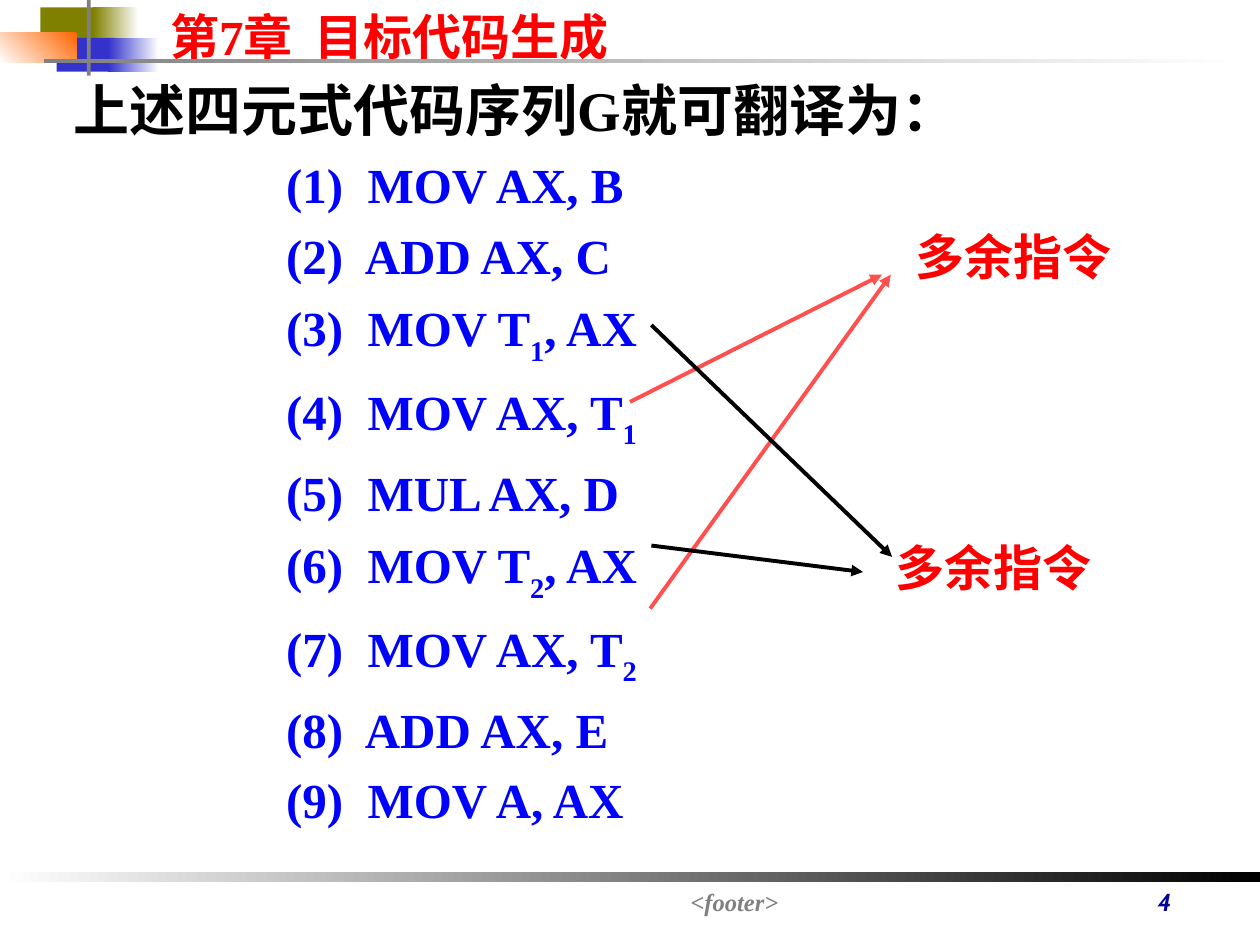
from pptx import Presentation
from pptx.dml.color import RGBColor
from pptx.enum.shapes import MSO_CONNECTOR as Connector, MSO_SHAPE as Preset
from pptx.enum.text import MSO_ANCHOR as Anchor, MSO_AUTO_SIZE as AutoSize, PP_ALIGN as Align
from pptx.oxml.xmlchemy import OxmlElement
from pptx.util import Inches, Pt

RED = RGBColor(0xFF, 0x00, 0x00)
CORAL = RGBColor(0xFF, 0x50, 0x50)
BLUE = RGBColor(0x00, 0x00, 0xFF)
NAVY = RGBColor(0x00, 0x00, 0x99)
INDIGO = RGBColor(0x33, 0x33, 0xCC)
OLIVE = RGBColor(0x80, 0x80, 0x00)
ORANGE = RGBColor(0xFF, 0x66, 0x00)
GRAY = RGBColor(0x80, 0x80, 0x80)
BLACK = RGBColor(0x00, 0x00, 0x00)
WHITE = RGBColor(0xFF, 0xFF, 0xFF)
SERIF = "Times New Roman"


def add_span(para, text, size, color, font=SERIF, italic=False):
    span = para.add_run()
    span.text = text
    span.font.name = font
    span.font.size = Pt(size)
    span.font.bold = True
    span.font.italic = italic
    span.font.color.rgb = color
    return span


def place(box, left, top, width, height, wrap=True):
    box.left, box.top = Inches(left), Inches(top)
    box.width, box.height = Inches(width), Inches(height)
    frame = box.text_frame
    frame.word_wrap = wrap
    frame.auto_size = AutoSize.NONE
    frame.vertical_anchor = Anchor.TOP
    return frame


deck = Presentation()
deck.slide_width, deck.slide_height = Inches(10), Inches(7.5)
page = deck.slides.add_slide(deck.slide_layouts[1])

# Bars and corner blocks: place, start colour, end colour, gradient angle
bars = [
    (0, 6.92, 10, 0.08, BLACK, WHITE, 180),
    (0.32, 0.06, 0.48, 0.27, OLIVE, None, 0),
    (0.74, 0.06, 0.36, 0.27, WHITE, OLIVE, 180),
    (0.45, 0.3, 0.46, 0.27, INDIGO, None, 0),
    (0.86, 0.3, 0.4, 0.27, WHITE, INDIGO, 180),
    (0, 0.26, 0.61, 0.24, ORANGE, WHITE, 225),
    (0.69, 0, 0.03, 0.6, GRAY, None, 0),
    (0.35, 0.47, 9.51, 0.03, WHITE, GRAY, 180),
]
for left, top, width, height, start, end, angle in bars:
    bar = page.shapes.add_shape(
        Preset.RECTANGLE, Inches(left), Inches(top), Inches(width), Inches(height))
    bar.shadow.inherit = False
    bar.line.fill.background()
    if end is None:
        bar.fill.solid()
        bar.fill.fore_color.rgb = start
    else:
        bar.fill.gradient()
        bar.fill.gradient_angle = angle
        for stop, color in zip(bar.fill.gradient_stops, (start, end)):
            stop.color.rgb = color

# Chapter title
para = place(page.shapes.title, 1.25, 0, 5.75, 0.57).paragraphs[0]
para.alignment = Align.LEFT
add_span(para, "第7章  目标代码生成", 28, RED)

# Heading and numbered instructions; the middle part is a subscript
instructions = [
    ("MOV AX, B",),
    ("ADD AX, C",),
    ("MOV T", "1", ", AX"),
    ("MOV AX, T", "1"),
    ("MUL AX, D",),
    ("MOV T", "2", ", AX"),
    ("MOV AX, T", "2"),
    ("ADD AX, E",),
    ("MOV A, AX",),
]
frame = place(page.placeholders[1], 0.17, 0.55, 9.64, 6.29)
for number in range(len(instructions) + 1):
    para = frame.add_paragraph() if number else frame.paragraphs[0]
    props = para._p.get_or_add_pPr()
    props.set("marL", str(Inches(2 if number else 0.31)))
    props.set("indent", "0")
    props.append(OxmlElement("a:buNone"))
    para.alignment = Align.JUSTIFY
    para.space_before = Pt(0)
    if number == 0:
        add_span(para, "上述四元式代码序列G就可翻译为：", 32, BLACK)
        continue
    para.line_spacing = 1.2
    add_span(para, f"({number})  ", 28, BLUE)
    for index, part in enumerate(instructions[number - 1]):
        span = add_span(para, part, 28, BLUE)
        if index == 1:
            span.font._element.set("baseline", "-30000")

# Arrows from instructions to labels
arrows = [
    (5, 3.19, 7, 2.18, CORAL),
    (5.16, 4.83, 7.07, 2.18, CORAL),
    (5.17, 2.58, 7.08, 4.42, BLACK),
    (5.17, 4.33, 6.85, 4.54, BLACK),
]
for x1, y1, x2, y2, color in arrows:
    arrow = page.shapes.add_connector(
        Connector.STRAIGHT, Inches(x1), Inches(y1), Inches(x2), Inches(y2))
    arrow.line.color.rgb = color
    arrow.line.width = Pt(2.25)
    head = OxmlElement("a:tailEnd")
    head.set("type", "triangle")
    arrow.line._get_or_add_ln().append(head)
    arrow._element.spPr.append(OxmlElement("a:effectLst"))

# Labels, footer and page number
notes = [
    (7.17, 1.75, 2.36, 0.57, "多余指令", 28, RED, SERIF, False, Align.LEFT),
    (7.01, 4.22, 1.99, 0.57, "多余指令", 28, RED, SERIF, False, Align.LEFT),
    (2.16, 6.99, 7.34, 0.26, "<footer>", 14, GRAY, SERIF, True, Align.CENTER),
    (9.09, 6.99, 0.9, 0.39, "4", 14, NAVY, "Cabin", True, Align.LEFT),
]
for left, top, width, height, text, size, color, font, italic, align in notes:
    box = page.shapes.add_textbox(0, 0, 0, 0)
    para = place(box, left, top, width, height).paragraphs[0]
    para.alignment = align
    add_span(para, text, size, color, font, italic)

deck.save("out.pptx")
